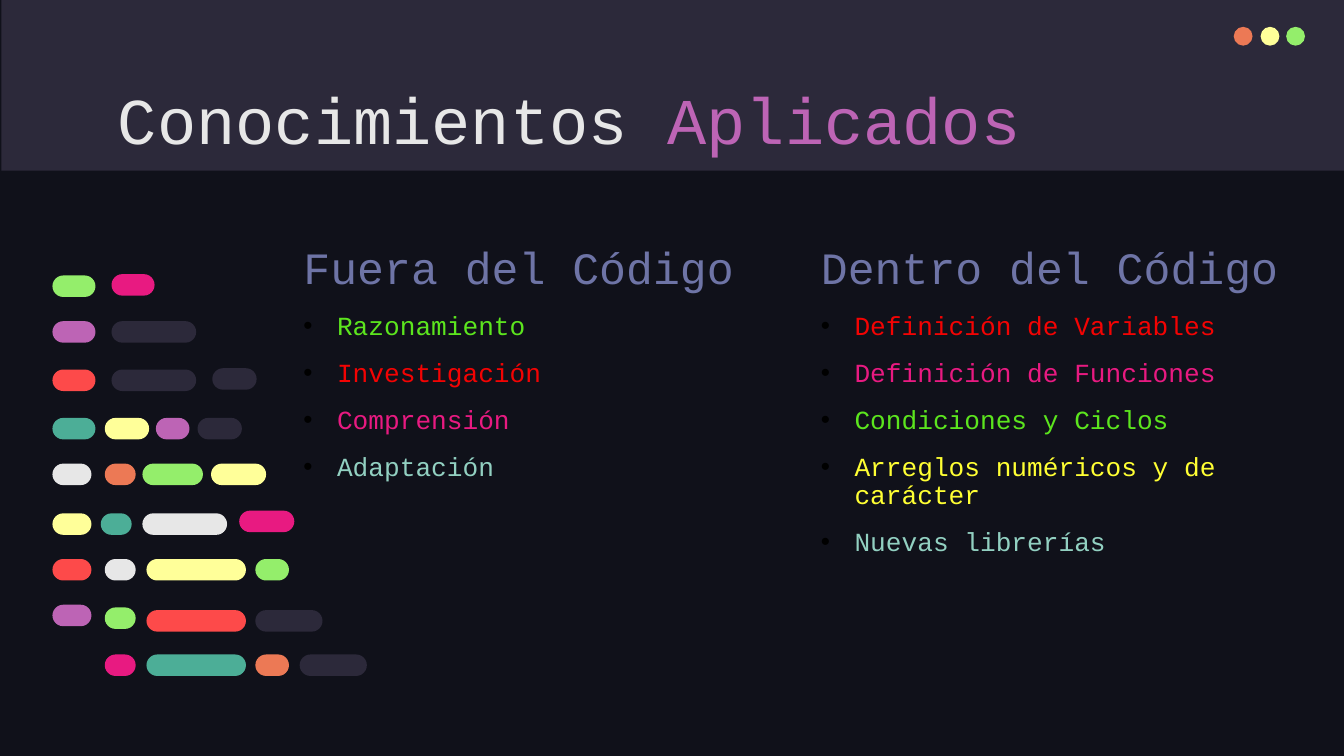
from lxml import etree
from pptx import Presentation
from pptx.dml.color import RGBColor
from pptx.enum.shapes import MSO_SHAPE
from pptx.enum.text import MSO_ANCHOR
from pptx.oxml.ns import qn
from pptx.util import Inches, Pt

RECTANGLE = MSO_SHAPE.RECTANGLE
OVAL = MSO_SHAPE.OVAL
PILL = MSO_SHAPE.ROUNDED_RECTANGLE
TOP = MSO_ANCHOR.TOP

THEME = {
    "font": "Courier New",
    "title_size": 35, "heading_size": 24, "item_size": 14,
    "night": "10111A", "slate": "2C293A", "white": "E7E7E7",
    "orange": "EC7955", "cream": "FFFF99", "lime": "94EE6B",
    "purple": "BD64B5", "pink": "E81A81", "coral": "FD4A4A",
    "teal": "4CAE97", "blue": "6E74A6", "green": "5CE51E",
    "red": "F30303", "mint": "92D0C1", "yellow": "FFFF33",
    "black": "000000",
}

TITLE = [("Conocimientos ", "white"), ("Aplicados", "purple")]

WINDOW_DOTS = [(9.18, "orange"), (9.38, "cream"), (9.57, "lime")]

CODE_ROWS = [
    (2.05, [(0.39, 0.32, "lime")]),
    (2.04, [(0.83, 0.32, "pink")]),
    (2.39, [(0.39, 0.32, "purple"), (0.83, 0.63, "slate")]),
    (2.75, [(0.39, 0.32, "coral"), (0.83, 0.63, "slate")]),
    (2.74, [(1.58, 0.33, "slate")]),
    (3.11, [(0.39, 0.32, "teal"), (0.78, 0.33, "cream"),
            (1.16, 0.25, "purple"), (1.47, 0.33, "slate")]),
    (3.45, [(0.39, 0.29, "white"), (0.78, 0.23, "orange"),
            (1.06, 0.45, "lime"), (1.57, 0.41, "cream")]),
    (3.82, [(0.39, 0.29, "cream"), (0.75, 0.23, "teal"), (1.06, 0.63, "white")]),
    (3.8, [(1.78, 0.41, "pink")]),
    (4.16, [(0.39, 0.29, "coral"), (0.78, 0.23, "white"),
            (1.09, 0.74, "cream"), (1.9, 0.25, "lime")]),
    (4.5, [(0.39, 0.29, "purple")]),
    (4.52, [(0.78, 0.23, "lime")]),
    (4.54, [(1.09, 0.74, "coral"), (1.9, 0.5, "slate")]),
    (4.87, [(0.78, 0.23, "pink"), (1.09, 0.74, "teal"),
            (1.9, 0.25, "orange"), (2.23, 0.5, "slate")]),
]

COLUMNS = [
    {"area": (2.16, 1.34, 4.43, 4.04), "heading": "Fuera del Código",
     "items": [("Razonamiento", "green"), ("Investigación", "red"),
               ("Comprensión", "pink"), ("Adaptación", "mint")]},
    {"area": (6.01, 1.34, 3.99, 4.28), "heading": "Dentro del Código",
     "items": [("Definición de Variables", "red"),
               ("Definición de Funciones", "pink"),
               ("Condiciones y Ciclos", "green"),
               ("Arreglos numéricos y de carácter", "yellow"),
               ("Nuevas librerías", "mint")]},
]


def rgb(name):
    return RGBColor.from_string(THEME[name])


def add_block(shapes, kind, area, color):
    block = shapes.add_shape(kind, *map(Inches, area))
    block.shadow.inherit = False
    block.fill.solid()
    block.fill.fore_color.rgb = rgb(color)
    block.line.fill.background()
    if kind == PILL:
        block.adjustments[0] = 0.5


def add_box(page, area, inset_top, inset_bottom, inset_side=0.1):
    frame = page.shapes.add_textbox(*map(Inches, area)).text_frame
    frame.word_wrap = True
    frame.vertical_anchor = TOP
    frame.margin_left = frame.margin_right = Inches(inset_side)
    frame.margin_top = Inches(inset_top)
    frame.margin_bottom = Inches(inset_bottom)
    return frame


def add_bullet(para):
    properties = para._p.get_or_add_pPr()
    properties.set("marL", str(Inches(0.25)))
    properties.set("indent", str(-Inches(0.25)))
    color = etree.SubElement(properties, qn("a:buClr"))
    etree.SubElement(color, qn("a:srgbClr")).set("val", THEME["black"])
    etree.SubElement(properties, qn("a:buFont")).set("typeface", "Arial")
    etree.SubElement(properties, qn("a:buChar")).set("char", "•")


def write(para, text, *, size, color):
    span = para.add_run()
    span.text = text
    span.font.name = THEME["font"]
    span.font.size = Pt(THEME[size])
    span.font.color.rgb = rgb(color)


def add_column(page, column):
    frame = add_box(page, column["area"], inset_top=0.49, inset_bottom=0.05)
    para = frame.paragraphs[0]
    para.line_spacing = 0.9
    write(para, column["heading"], size="heading_size", color="blue")
    for text, color in column["items"]:
        para = frame.add_paragraph()
        para.line_spacing = 0.9
        para.space_before = Pt(10)
        add_bullet(para)
        write(para, text, size="item_size", color=color)


def main():
    deck = Presentation()
    deck.slide_width = Inches(10)
    deck.slide_height = deck.slide_width * 9 // 16
    page = deck.slides.add_slide(deck.slide_layouts[6])
    page.background.fill.solid()
    page.background.fill.fore_color.rgb = rgb("night")

    add_block(page.shapes, RECTANGLE, (0.01, 0, 9.99, 1.27), "slate")
    dots = page.shapes.add_group_shape().shapes
    for left, color in WINDOW_DOTS:
        add_block(dots, OVAL, (left, 0.2, 0.14, 0.14), color)

    title = add_box(page, (0.78, 0.49, 8.43, 0.63), inset_top=0.1, inset_bottom=0)
    for text, color in TITLE:
        write(title.paragraphs[0], text, size="title_size", color=color)

    code = page.shapes.add_group_shape().shapes
    for top, pills in CODE_ROWS:
        for left, width, color in pills:
            add_block(code, PILL, (left, top, width, 0.16), color)

    for column in COLUMNS:
        add_column(page, column)
    deck.save("out.pptx")


if __name__ == "__main__":
    main()
